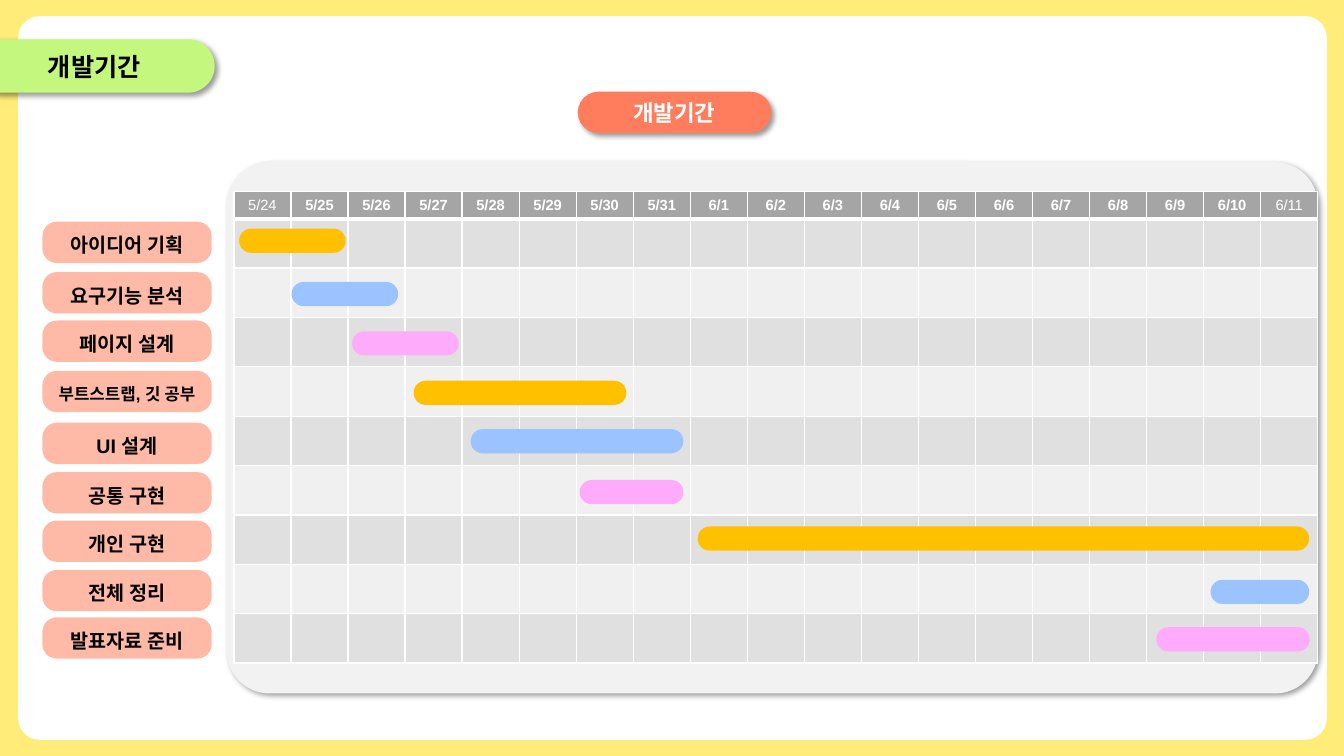
from dataclasses import dataclass

from lxml.etree import SubElement
from pptx import Presentation
from pptx.dml.color import RGBColor
from pptx.enum.shapes import MSO_SHAPE as SHAPE
from pptx.enum.text import MSO_ANCHOR as ANCHOR, PP_ALIGN as ALIGN
from pptx.oxml.ns import qn
from pptx.util import Inches, Pt

HEADING = "개발기간"
DATES = [f"5/{d}" for d in range(24, 32)] + [f"6/{d}" for d in range(1, 12)]
PLAIN_DATES = (DATES[0], DATES[-1])

# task, first column, columns covered, bar offset and label offset in rows
TASKS = [
    ("아이디어 기획", 0.09, 1.87, 0.20, 0.06),
    ("요구기능 분석", 1.01, 1.87, 0.28, 0.08),
    ("페이지 설계", 2.07, 1.87, 0.28, 0.06),
    ("부트스트랩, 깃 공부", 3.15, 3.73, 0.28, 0.08),
    ("UI 설계", 4.15, 3.73, 0.26, 0.13),
    ("공통 구현", 6.06, 1.82, 0.29, 0.13),
    ("개인 구현", 8.13, 10.72, 0.23, 0.11),
    ("전체 정리", 17.12, 1.73, 0.31, 0.11),
    ("발표자료 준비", 16.17, 2.69, 0.27, 0.07),
]


@dataclass(frozen=True)
class Theme:
    font: str = "Arial"
    page: str = "FFEC79"
    white: str = "FFFFFF"
    ink: str = "000000"
    title_tab: str = "C3F77D"
    badge: str = "FF7C5D"
    panel: str = "F2F2F2"
    header: str = "A5A5A5"
    bands: tuple = ("E0E0E0", "F0F0F0")
    label: str = "FFBAA7"
    bars: tuple = ("FFC000", "9BC3FF", "FFABFB")
    title_size: float = 18
    badge_size: float = 16
    label_size: float = 14
    long_label_size: float = 12
    date_size: float = 10.5


T = Theme()
WIDTH, HEIGHT = 13.33, 7.5
GRID_LEFT, GRID_TOP, GRID_WIDTH = 2.32, 1.9, 10.75
HEADER_H, ROW_H = 0.27, 0.49
COL_W = GRID_WIDTH / len(DATES)
LABEL_LEFT, LABEL_W, LABEL_H = 0.42, 1.68, 0.41
BAR_H = 0.24


def write(tf, text, size, color, bold=True):
    tf.vertical_anchor = ANCHOR.MIDDLE
    p = tf.paragraphs[0]
    p.alignment = ALIGN.CENTER
    r = p.add_run()
    r.text = text
    for name, value in dict(name=T.font, size=Pt(size), bold=bold).items():
        setattr(r.font, name, value)
    r.font.color.rgb = RGBColor.from_string(color)


def add_shadow(sp):
    """Replace the empty effect list with a soft shadow to the lower right."""
    effects = sp.element.spPr.find(qn("a:effectLst"))
    shadow = SubElement(effects, qn("a:outerShdw"), blurRad=str(Pt(4)),
                        dist=str(Pt(3)), dir=str(45 * 60000), algn="tl", rotWithShape="0")
    color = SubElement(shadow, qn("a:srgbClr"), val=T.ink)
    SubElement(color, qn("a:alpha"), val="40000")


def add_pill(slide, box, fill, rounding=0.5, raised=False):
    sp = slide.shapes.add_shape(SHAPE.ROUNDED_RECTANGLE, *map(Inches, box))
    sp.adjustments[0] = rounding
    sp.fill.solid()
    sp.fill.fore_color.rgb = RGBColor.from_string(fill)
    sp.line.fill.background()
    sp.shadow.inherit = False
    if raised:
        add_shadow(sp)
    return sp


def style_cell(cell, fill, top, bottom):
    tc_pr = cell._tc.get_or_add_tcPr()
    for side, width in dict(L=1, R=1, T=top, B=bottom).items():
        ln = SubElement(tc_pr, qn(f"a:ln{side}"), w=str(Pt(width)))
        SubElement(SubElement(ln, qn("a:solidFill")), qn("a:srgbClr"), val=T.white)
    cell.fill.solid()
    cell.fill.fore_color.rgb = RGBColor.from_string(fill)


def add_calendar(slide):
    rows = len(TASKS) + 1
    box = (GRID_LEFT, GRID_TOP, GRID_WIDTH, HEADER_H + ROW_H * len(TASKS))
    table = slide.shapes.add_table(rows, len(DATES), *map(Inches, box)).table
    table.first_row = table.horz_banding = False
    for col in table.columns:
        col.width = Inches(COL_W)
    for i, row in enumerate(table.rows):
        row.height = Inches(ROW_H if i else HEADER_H)
        fill = T.bands[(i - 1) % 2] if i else T.header
        for cell in row.cells:
            style_cell(cell, fill, top=3 if i == 1 else 1, bottom=1 if i else 3)
    for cell, date in zip(table.rows[0].cells, DATES):
        write(cell.text_frame, date, T.date_size, T.white, date not in PLAIN_DATES)
        cell.vertical_anchor = ANCHOR.MIDDLE


def add_title(slide):
    add_pill(slide, (-0.27, 0.39, 2.4, 0.53), T.title_tab, raised=True)
    title = slide.shapes.title
    slide.shapes.element.append(title.element)
    places = dict(left=0.21, top=0.46, width=1.45, height=0.4)
    for name, value in places.items():
        setattr(title, name, Inches(value))
    write(title.text_frame, HEADING, T.title_size, T.ink)


def add_tasks(slide):
    for i, (task, start, span, bar_shift, label_shift) in enumerate(TASKS):
        row_top = GRID_TOP + HEADER_H + i * ROW_H
        label = add_pill(slide, (LABEL_LEFT, row_top + label_shift * ROW_H, LABEL_W, LABEL_H),
                         T.label, rounding=0.35)
        tf = label.text_frame
        tf.margin_top, tf.margin_bottom = Inches(0.05), 0
        tf.margin_left = tf.margin_right = 0
        size = T.long_label_size if len(task) > 8 else T.label_size
        write(tf, task, size, T.ink)
        add_pill(slide, (GRID_LEFT + start * COL_W, row_top + bar_shift * ROW_H,
                         span * COL_W, BAR_H), T.bars[i % len(T.bars)])


def main():
    prs = Presentation()
    prs.slide_width, prs.slide_height = Inches(WIDTH), Inches(HEIGHT)
    slide = prs.slides.add_slide(prs.slide_layouts[5])
    slide.background.fill.solid()
    slide.background.fill.fore_color.rgb = RGBColor.from_string(T.page)

    add_pill(slide, (0.18, 0.16, 12.98, 7.18), T.white, rounding=0.03)
    add_title(slide)
    badge = add_pill(slide, (5.73, 0.91, 1.92, 0.41), T.badge, raised=True)
    write(badge.text_frame, HEADING, T.badge_size, T.white)
    add_pill(slide, (2.25, 1.61, 10.82, 5.27), T.panel, rounding=0.08, raised=True)
    add_calendar(slide)
    add_tasks(slide)
    prs.save("out.pptx")


if __name__ == "__main__":
    main()
